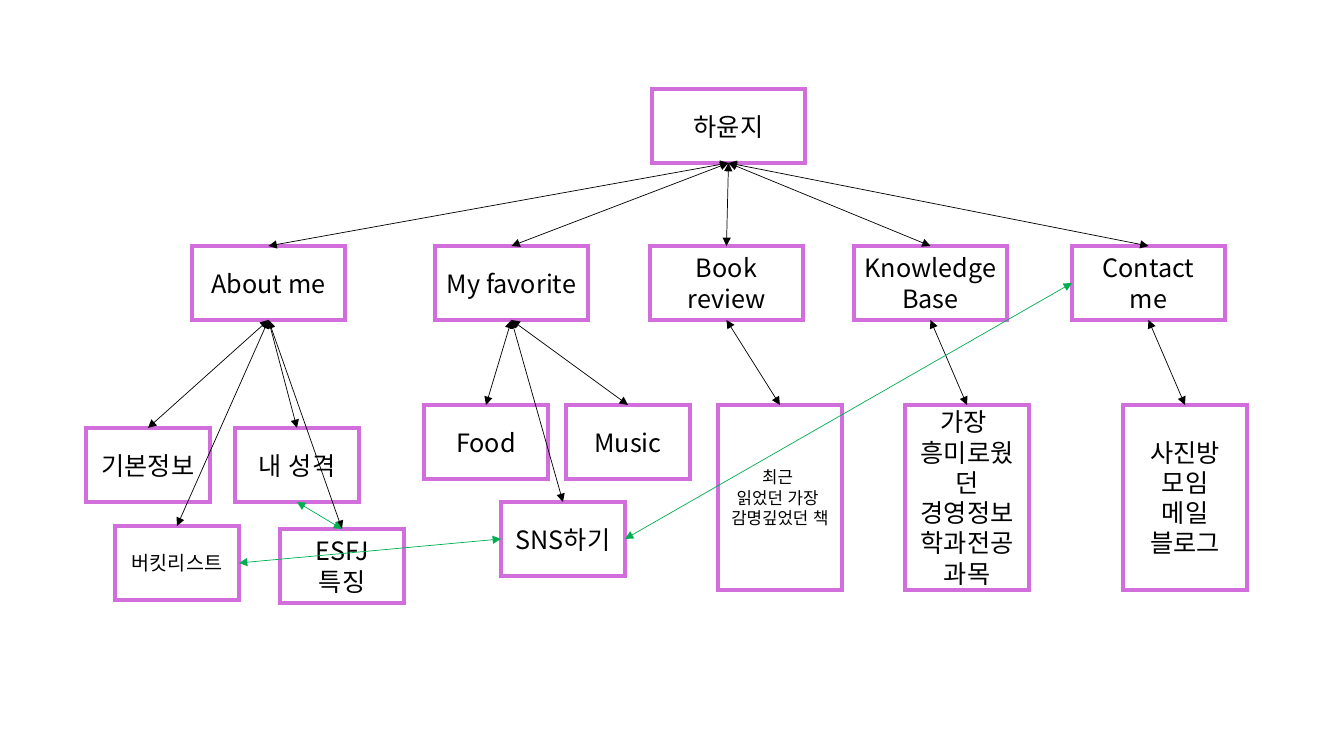
from enum import IntEnum
from typing import NamedTuple

from lxml.etree import SubElement
from pptx import Presentation
from pptx.dml.color import RGBColor
from pptx.enum.lang import MSO_LANGUAGE_ID as Lang
from pptx.enum.shapes import MSO_CONNECTOR as Connector, MSO_SHAPE as Shape
from pptx.enum.text import MSO_ANCHOR as Anchor, PP_ALIGN as Align
from pptx.oxml.ns import qn
from pptx.util import Emu, Pt

BLACK = RGBColor(0x00, 0x00, 0x00)
WHITE = RGBColor(0xFF, 0xFF, 0xFF)
PINK = RGBColor(0xD2, 0x6E, 0xDC)
GREEN = RGBColor(0x00, 0xB0, 0x50)
FONT = "Noto Sans CJK KR"
EMU_PER_PX = 914400 / 100.8

PAGE_W, PAGE_H = 1344, 756
MENU_W, LEAF_W = 153, 124
BOX_H, TALL_H = 74, 185
MENU_Y, LEAF_Y = 246, 405


class Side(IntEnum):
    TOP = 0
    LEFT = 1
    BOTTOM = 2
    RIGHT = 3


class Box(NamedTuple):
    text: str
    x: int
    y: int
    w: int = LEAF_W
    h: int = BOX_H
    size: int = 18


class Link(NamedTuple):
    start: str
    end: str
    color: RGBColor = BLACK
    start_side: Side = Side.BOTTOM
    end_side: Side = Side.TOP


BOXES = {
    "home": Box("하윤지", 652, 89, MENU_W),
    "about": Box("About me", 192, MENU_Y, MENU_W),
    "favorite": Box("My favorite", 435, MENU_Y, MENU_W),
    "review": Box("Book review", 650, MENU_Y, MENU_W),
    "knowledge": Box("Knowledge\vBase", 854, MENU_Y, MENU_W),
    "contact": Box("Contact me", 1072, MENU_Y, MENU_W),
    "food": Box("Food", 424, LEAF_Y),
    "music": Box("Music", 566, LEAF_Y),
    "sns": Box("SNS하기", 501, 502),
    "book": Box("최근 \n읽었던 가장 \n감명깊었던 책", 718, LEAF_Y, h=TALL_H, size=12),
    "subject": Box("가장 \n흥미로웠던 경영정보학과전공과목", 905, LEAF_Y, h=TALL_H),
    "channels": Box("사진방\n모임\n메일\n블로그", 1123, LEAF_Y, h=TALL_H),
    "profile": Box("기본정보", 86, 428),
    "personality": Box("내 성격", 235, 428),
    "bucket": Box("버킷리스트", 115, 526, size=14),
    "esfj": Box("ESFJ\v특징", 280, 529),
}

TREE = {
    "home": ("about", "favorite", "review", "knowledge", "contact"),
    "about": ("profile", "personality", "bucket", "esfj"),
    "favorite": ("food", "sns", "music"),
    "review": ("book",),
    "knowledge": ("subject",),
    "contact": ("channels",),
}

LINKS = [Link(parent, child) for parent, children in TREE.items() for child in children] + [
    Link("personality", "esfj", GREEN),
    Link("contact", "sns", GREEN, Side.LEFT, Side.RIGHT),
    Link("bucket", "sns", GREEN, Side.RIGHT, Side.LEFT),
]


def px(n: int) -> Emu:
    return Emu(round(n * EMU_PER_PX))


def apply(target, formats: dict) -> None:
    for name, value in formats.items():
        setattr(target, name, value)


def add_box(s, box: Box):
    sp = s.shapes.add_shape(Shape.RECTANGLE, px(box.x), px(box.y), px(box.w), px(box.h))
    sp.shadow.inherit = False
    sp.fill.solid()
    sp.fill.fore_color.rgb = WHITE
    sp.line.color.rgb = PINK
    sp.line.width = Pt(3)
    SubElement(sp.line._get_or_add_ln(), qn("a:miter"), lim="800000")
    tf = sp.text_frame
    apply(tf, {"text": box.text, "word_wrap": True, "vertical_anchor": Anchor.MIDDLE})
    for p in tf.paragraphs:
        p.alignment = Align.CENTER
        for r in p.runs:
            apply(r.font, {"name": FONT, "size": Pt(box.size), "language_id": Lang.KOREAN})
            r.font.color.rgb = BLACK
            SubElement(r.font._element, qn("a:ea"), typeface=FONT)
    return sp


def add_link(s, link: Link, shapes: dict) -> None:
    line = s.shapes.add_connector(Connector.STRAIGHT, 0, 0, 0, 0)
    line.begin_connect(shapes[link.start], int(link.start_side))
    line.end_connect(shapes[link.end], int(link.end_side))
    line.line.color.rgb = link.color
    line.line.width = Pt(0.5)
    ln = line.line._get_or_add_ln()
    for tag in ("a:headEnd", "a:tailEnd"):
        SubElement(ln, qn(tag), type="triangle")
    SubElement(line._element.spPr, qn("a:effectLst"))


prs = Presentation()
apply(prs, {"slide_width": px(PAGE_W), "slide_height": px(PAGE_H)})
s = prs.slides.add_slide(prs.slide_layouts[6])
shapes = {name: add_box(s, box) for name, box in BOXES.items()}
for link in LINKS:
    add_link(s, link, shapes)
prs.save("out.pptx")
